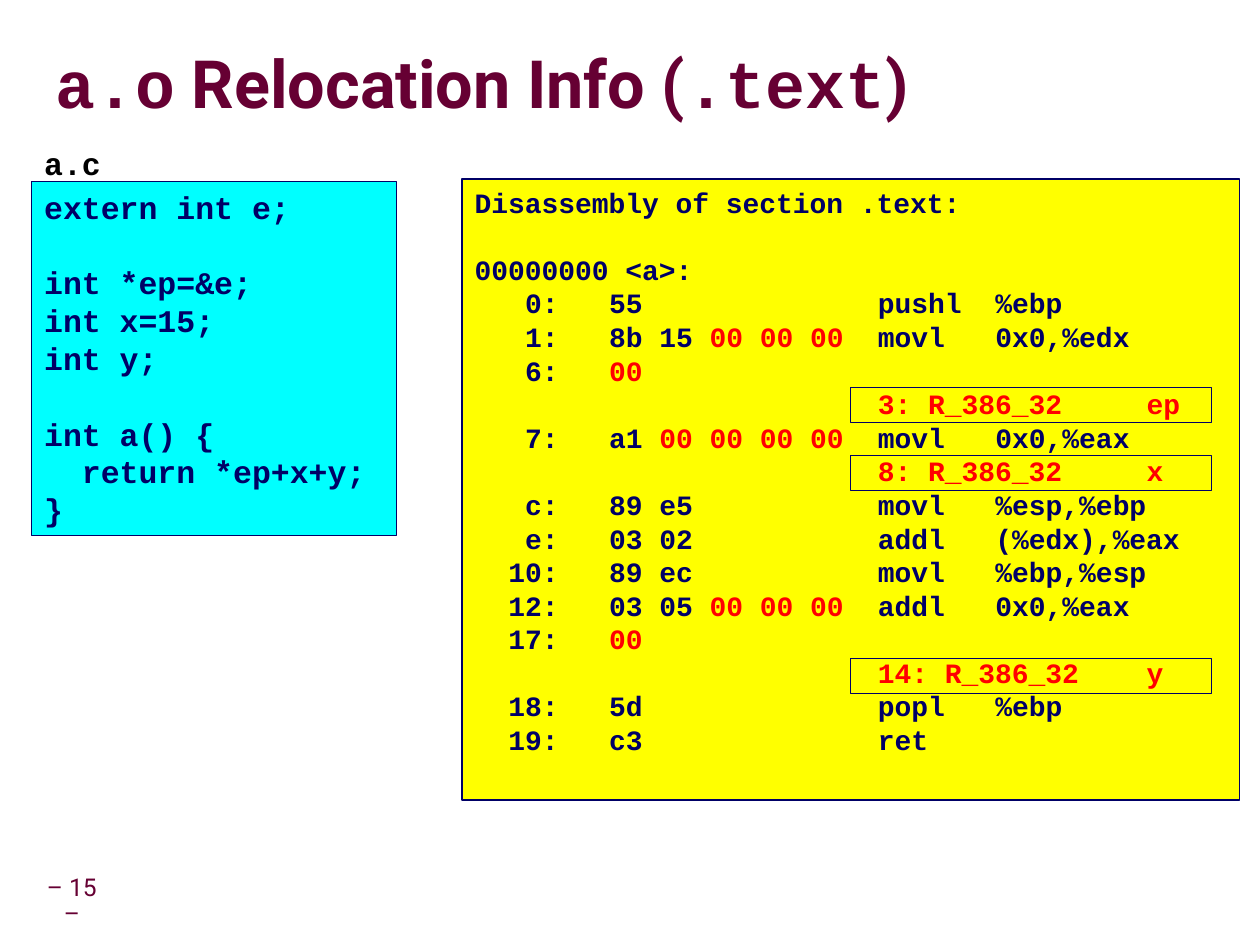
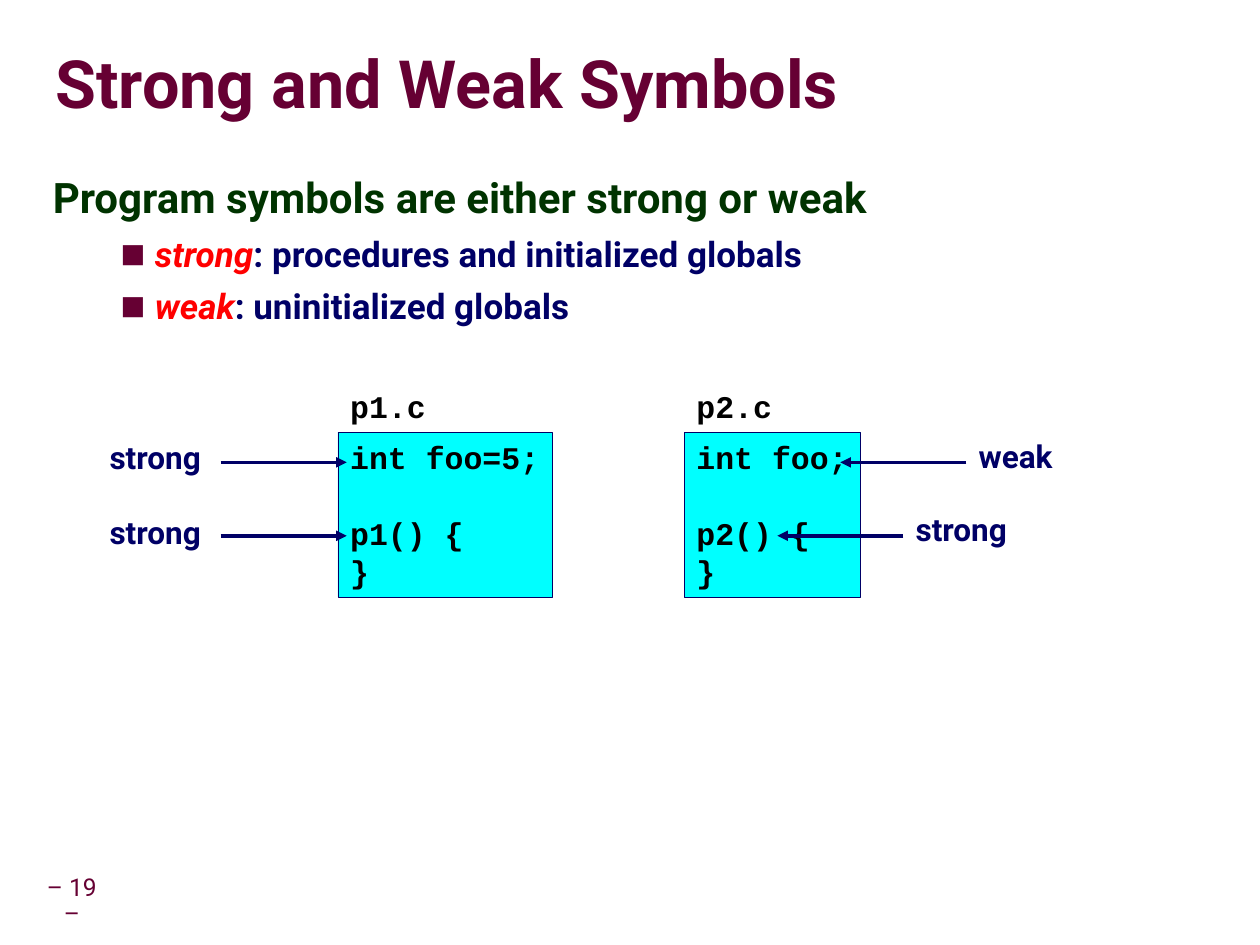
from lxml.etree import SubElement
from pptx import Presentation
from pptx.dml.color import RGBColor
from pptx.enum.shapes import MSO_CONNECTOR, MSO_SHAPE
from pptx.enum.text import MSO_ANCHOR, MSO_AUTO_SIZE, PP_ALIGN
from pptx.oxml import parse_xml
from pptx.oxml.ns import nsdecls, qn
from pptx.util import Cm, Pt

# Shared style
SANS, MONO = "Roboto", "Courier New"
MAROON, NAVY, GREEN = "660033", "000066", "003300"
RED, BLACK, WHITE = "FF0000", "000000", "FFFFFF"
CYAN, YELLOW = "00FFFF", "FFFF00"
CHAR_WIDTH, LINE_HEIGHT = 0.6, 1.2  # of the monospaced type size
TITLE_SHADOW = (
    f'<a:effectLst {nsdecls("a")}><a:outerShdw dist="53882" dir="2700000">'
    '<a:srgbClr val="969696"/></a:outerShdw></a:effectLst>')


def rgb(value):
    return RGBColor.from_string(value)


def set_all(target, values):
    for name, value in values.items():
        setattr(target, name, value)


class Deck:
    def __init__(self):
        self.prs = Presentation()
        set_all(self.prs, {"slide_width": Cm(25.4), "slide_height": Cm(19.05)})
        self.s = None

    def slide(self, layout, title, number):
        self.s = self.prs.slides.add_slide(self.prs.slide_layouts[layout])
        self.footer(number)
        self.title(title)

    def run(self, p, text, size, color, font=SANS, bold=True, italic=False):
        r = p.add_run()
        r.text = text
        set_all(r.font, {"size": Pt(size), "name": font, "bold": bold, "italic": italic})
        r.font.color.rgb = rgb(color)
        return r

    def place(self, sp, box):
        set_all(sp, dict(zip(("left", "top", "width", "height"), map(Cm, box))))

    def frame(self, sp, inset=None, **values):
        tf = sp.text_frame
        set_all(tf, {"word_wrap": True, "auto_size": MSO_AUTO_SIZE.NONE,
                     "vertical_anchor": MSO_ANCHOR.TOP, **values})
        if inset is not None:
            sides = ("left", "top", "right", "bottom")
            set_all(tf, {f"margin_{side}": Cm(inset) for side in sides})
        return tf

    def title(self, parts):
        sp = self.s.shapes.title
        self.place(sp, (1.12, 0.69, 24.21, 2.16))
        p = self.frame(sp, 0, vertical_anchor=MSO_ANCHOR.MIDDLE).paragraphs[0]
        set_all(p, {"alignment": PP_ALIGN.LEFT, "line_spacing": 0.87})
        for text, font in parts:
            r = self.run(p, text, 38, MAROON, font)
            r.font.fill._xPr.find(qn("a:solidFill")).addnext(parse_xml(TITLE_SHADOW))

    def footer(self, number):
        sp = self.s.shapes.add_textbox(Cm(0.69), Cm(17.78), Cm(1.52), Cm(0.79))
        p = self.frame(sp, 0.13, vertical_anchor=MSO_ANCHOR.MIDDLE).paragraphs[0]
        set_all(p, {"alignment": PP_ALIGN.CENTER, "line_spacing": 0.9})
        self.run(p, f"– {number} –", 14, MAROON, bold=False)

    def body(self, heading, items):
        sp = self.s.placeholders[1]
        self.place(sp, (0.81, 3.4, 23.09, 14.5))
        tf = self.frame(sp)
        p = tf.paragraphs[0]
        set_all(p, {"line_spacing": 0.95, "space_before": Pt(0)})
        self.bullet(p, 1.07, -1.07)
        self.run(p, heading, 24, GREEN)
        for term, meaning in items:
            p = tf.add_paragraph()
            set_all(p, {"level": 1, "space_before": Pt(5.5)})
            self.bullet(p, 2.06, -0.69, "■")
            self.run(p, term, 20, RED, italic=True)
            self.run(p, meaning, 20, NAVY)

    def bullet(self, p, margin, indent, char=None):
        pPr = p._p.get_or_add_pPr()
        pPr.set("marL", str(Cm(margin)))
        pPr.set("indent", str(Cm(indent)))
        if char is None:
            SubElement(pPr, qn("a:buNone"))
            return
        SubElement(SubElement(pPr, qn("a:buClr")), qn("a:srgbClr"), val=MAROON)
        SubElement(pPr, qn("a:buSzPct"), val="75000")
        SubElement(pPr, qn("a:buFont"), typeface=SANS)
        SubElement(pPr, qn("a:buChar"), char=char)

    def rect(self, box, line=NAVY, fill=None, weight=0.25):
        sp = self.s.shapes.add_shape(MSO_SHAPE.RECTANGLE, *map(Cm, box))
        sp.shadow.inherit = False
        if fill:
            sp.fill.solid()
            sp.fill.fore_color.rgb = rgb(fill)
        else:
            sp.fill.background()
        sp.line.color.rgb = rgb(line)
        sp.line.width = Pt(weight)
        return sp

    def code(self, sp, lines, color, size=18, tabs=(), grow=True):
        """Empty lines become spacing, leading blanks an indent, |text| is red."""
        fit = MSO_AUTO_SIZE.SHAPE_TO_FIT_TEXT if grow else MSO_AUTO_SIZE.NONE
        tf = self.frame(sp, auto_size=fit, word_wrap=not grow)
        p, gap = tf.paragraphs[0], 0
        for i, line in enumerate(lines):
            if not line:
                gap = size * LINE_HEIGHT
                continue
            p = tf.add_paragraph() if i else p
            set_all(p, {"alignment": PP_ALIGN.LEFT, "space_before": Pt(gap)})
            gap = 0
            pPr = p._p.get_or_add_pPr()
            text = line.lstrip(" ")
            if text != line:
                columns = len(line) - len(text)
                pPr.set("marL", str(Pt(columns * size * CHAR_WIDTH)))
            if tabs:
                tab_list = SubElement(pPr, qn("a:tabLst"))
                for column, align in tabs:
                    SubElement(tab_list, qn("a:tab"), algn=align,
                               pos=str(Pt(column * size * CHAR_WIDTH)))
            for n, part in enumerate(text.split("|")):
                if part:
                    self.run(p, part, size, RED if n % 2 else color, MONO)

    def file_name(self, name, x, y, width):
        self.code(self.rect((x, y, width, 1.02), WHITE), [name], BLACK)

    def label(self, text, x, y, width):
        sp = self.s.shapes.add_textbox(Cm(x), Cm(y), Cm(width), Cm(1.02))
        tf = self.frame(sp, word_wrap=False, auto_size=MSO_AUTO_SIZE.SHAPE_TO_FIT_TEXT)
        self.run(tf.paragraphs[0], text, 18, NAVY)

    def arrow(self, x1, x2, y):
        c = self.s.shapes.add_connector(
            MSO_CONNECTOR.STRAIGHT, Cm(x1), Cm(y), Cm(x2), Cm(y))
        c.line.color.rgb = rgb(NAVY)
        c.line.width = Pt(2)
        SubElement(c.line._get_or_add_ln(), qn("a:tailEnd"), type="triangle")
        SubElement(c._element.spPr, qn("a:effectLst"))


SOURCE = ["extern int e;", "", "int *ep=&e;", "int x=15;", "int y;", "",
          "int a() {", "  return *ep+x+y;", "}"]

# Columns: offset, bytes, mnemonic, operands, symbol
LISTING_TABS = [(5, "r"), (8, "l"), (24, "l"), (31, "l"), (40, "l")]
LISTING = [
    "Disassembly of section .text:",
    "",
    "00000000 <a>:",
    "\t0:\t55\tpushl\t%ebp",
    "\t1:\t8b 15 |00 00 00|\tmovl\t0x0,%edx",
    "\t6:\t|00|",
    "\t\t\t|3: R_386_32\tep|",
    "\t7:\ta1 |00 00 00 00|\tmovl\t0x0,%eax",
    "\t\t\t|8: R_386_32\tx|",
    "\tc:\t89 e5\tmovl\t%esp,%ebp",
    "\te:\t03 02\taddl\t(%edx),%eax",
    "\t10:\t89 ec\tmovl\t%ebp,%esp",
    "\t12:\t03 05 |00 00 00|\taddl\t0x0,%eax",
    "\t17:\t|00|",
    "\t\t\t|14: R_386_32\ty|",
    "\t18:\t5d\tpopl\t%ebp",
    "\t19:\tc3\tret",
]


def relocation_slide(deck):
    deck.slide(5, [("a.o", MONO), (" Relocation Info (", SANS),
                   (".text", MONO), (")", SANS)], 15)
    # Source file
    deck.file_name("a.c", 0.64, 2.77, 1.65)
    deck.code(deck.rect((0.64, 3.66, 7.34, 7.14), fill=CYAN), SOURCE, NAVY)
    # Disassembly with framed relocation entries
    listing = deck.rect((9.32, 3.61, 15.67, 12.52), fill=YELLOW, weight=1)
    deck.code(listing, LISTING, NAVY, 16, LISTING_TABS, grow=False)
    for y in (7.8, 9.17, 13.26):
        deck.rect((17.15, y, 7.26, 0.71))


def symbols_slide(deck):
    deck.slide(1, [("Strong and Weak Symbols", SANS)], 19)
    deck.body("Program symbols are either strong or weak",
              [("strong", ": procedures and initialized globals"),
               ("weak", ": uninitialized globals")])
    # Two source files
    for name, variable, x, width in (("p1", "int foo=5;", 6.81, 4.32),
                                     ("p2", "int foo;", 13.79, 3.56)):
        deck.code(deck.rect((x, 8.71, width, 3.33), fill=CYAN),
                  [variable, "", f"{name}() {{", "}"], BLACK)
        deck.file_name(f"{name}.c", x, 7.67, 2.03)
    # Symbol labels, each with an arrow to its definition
    for text, x, y, width, start, arrow_y in (
            ("strong", 1.96, 8.71, 2.49, 4.45, 9.32),
            ("strong", 1.96, 10.21, 2.49, 4.45, 10.8),
            ("weak", 19.48, 8.69, 2.06, 19.48, 9.32),
            ("strong", 18.21, 10.16, 2.49, 18.21, 10.8)):
        deck.label(text, x, y, width)
        deck.arrow(start, start + (2.54 if start > x else -2.54), arrow_y)


def main():
    deck = Deck()
    relocation_slide(deck)
    symbols_slide(deck)
    deck.prs.save("out.pptx")


if __name__ == "__main__":
    main()
